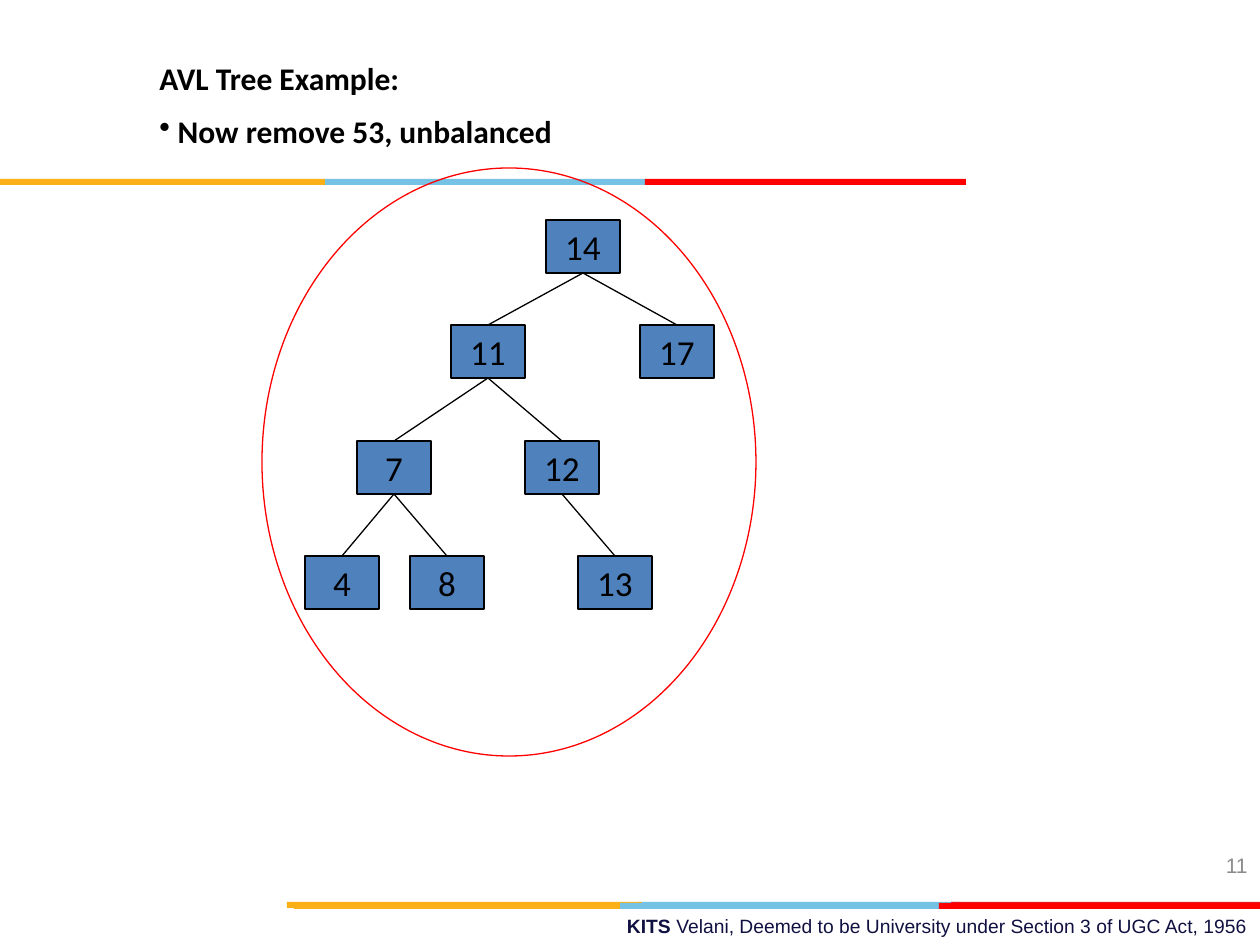
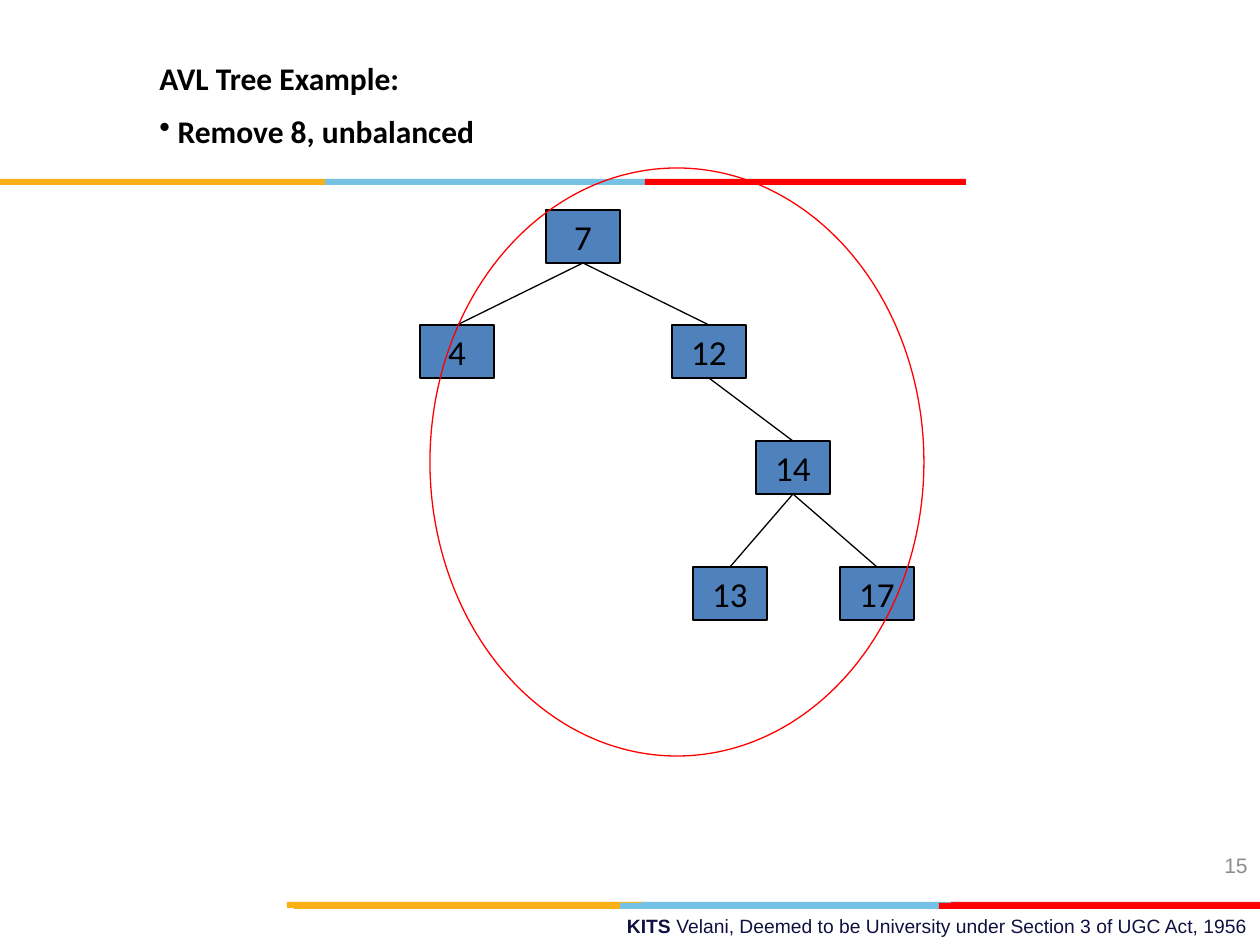
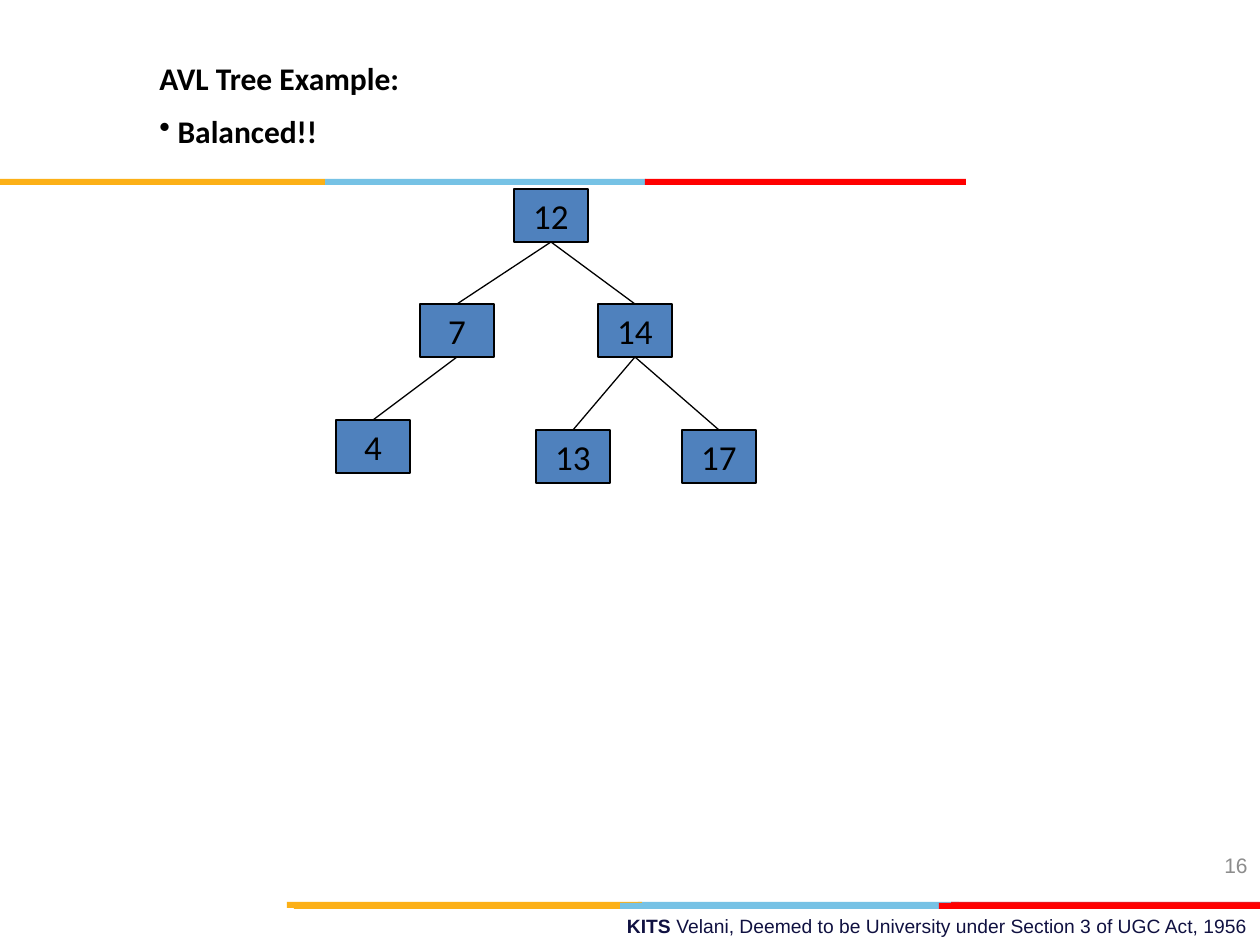
from lxml import etree
from pptx import Presentation
from pptx.dml.color import RGBColor
from pptx.enum.shapes import MSO_CONNECTOR as CONN, MSO_SHAPE as SHAPE
from pptx.enum.text import MSO_ANCHOR as ANCHOR, PP_ALIGN as ALIGN
from pptx.oxml.ns import qn
from pptx.util import Pt

PX = 914400 / 126
COLORS = {
    "gold": "FCB017", "sky": "76C2E5", "red": "FF0000", "crimson": "E31C24",
    "navy": "101141", "gray": "8C8C8C", "black": "000000", "node": "4F81BD",
}
BAND_H = 6
BANDS = [  # left, top, width, colour
    (638, 902, 321, "sky"), (951, 902, 309, "crimson"), (287, 902, 355, "gold"),
    (620, 903, 321, "sky"), (294, 903, 326, "gold"), (939, 903, 321, "red"),
    (325, 179, 321, "sky"), (0, 179, 325, "gold"), (645, 179, 321, "red"),
]
NODE_W, NODE_H = 74, 53
RING_TOP, RING_W, RING_H = 168, 494, 588
BOTTOM_SITE, TOP_SITE = 2, 0

SLIDES = [
    {"number": 11, "step": "Now remove 53, unbalanced", "title_w": 987, "ring": 262,
     "nodes": {14: (546, 220), 11: (451, 325), 17: (640, 325), 7: (357, 441),
               12: (525, 441), 4: (305, 556), 8: (410, 556), 13: (578, 556)},
     "edges": [(14, 11), (14, 17), (11, 7), (11, 12), (7, 4), (7, 8), (12, 13)]},
    {"number": 15, "step": "Remove 8, unbalanced", "title_w": 1061, "ring": 430,
     "nodes": {7: (546, 210), 4: (420, 325), 12: (672, 325), 14: (756, 441),
               13: (693, 567), 17: (840, 567)},
     "edges": [(7, 4), (7, 12), (12, 14), (14, 13), (14, 17)]},
    {"number": 16, "step": "Balanced!!", "title_w": 1061, "ring": None,
     "nodes": {12: (514, 189), 7: (420, 304), 14: (598, 304), 4: (336, 420),
               13: (536, 430), 17: (682, 430)},
     "edges": [(12, 7), (12, 14), (7, 4), (14, 13), (14, 17)]},
]


def add_box(shapes, kind, box, fill=None, line=None):
    """Add a preset shape, or a wrapping text box when kind is None."""
    box = [round(v * PX) for v in box]
    if kind is None:
        sp = shapes.add_textbox(*box)
        sp.text_frame.word_wrap = True
        return sp
    sp = shapes.add_shape(kind, *box)
    sp.shadow.inherit = False
    if fill:
        sp.fill.solid()
        sp.fill.fore_color.rgb = RGBColor.from_string(COLORS[fill])
    else:
        sp.fill.background()
    if line:
        sp.line.color.rgb = RGBColor.from_string(COLORS[line])
        sp.line.width = Pt(0.75)
    else:
        sp.line.fill.background()
    return sp


def style(p, font, size, color, align=ALIGN.LEFT, bold=False):
    p.alignment = align
    for r in p.runs:
        r.font.name, r.font.size, r.font.bold = font, Pt(size), bold
        r.font.color.rgb = RGBColor.from_string(COLORS[color])


prs = Presentation()
prs.slide_width, prs.slide_height = round(1260 * PX), round(945 * PX)

for data in SLIDES:
    shapes = prs.slides.add_slide(prs.slide_layouts[6]).shapes

    p = add_box(shapes, None, (451, 908, 809, 37)).text_frame.paragraphs[0]
    for text in ("KITS ", "Velani, Deemed to be University under Section 3 of UGC Act, 1956"):
        p.add_run().text = text
    style(p, "Arial", 11, "navy", ALIGN.RIGHT)
    p.runs[0].font.bold = True

    for left, top, width, color in BANDS:
        add_box(shapes, SHAPE.RECTANGLE, (left, top, width, BAND_H), color)

    tf = add_box(shapes, None, (966, 840, 294, 50)).text_frame
    tf.vertical_anchor = ANCHOR.MIDDLE
    tf.text = str(data["number"])
    style(tf.paragraphs[0], "Arial", 12, "gray", ALIGN.RIGHT)

    tf = add_box(shapes, None, (147, 53, data["title_w"], 107)).text_frame
    tf.text = f"AVL Tree Example:\n {data['step']}"
    for p in tf.paragraphs:
        style(p, "Calibri", 18, "black", bold=True)
        p.space_before = Pt(8.5)
    etree.SubElement(p._p.get_or_add_pPr(), qn("a:buChar")).set("char", "•")

    nodes = {}
    for key, (left, top) in data["nodes"].items():
        sp = add_box(shapes, SHAPE.RECTANGLE, (left, top, NODE_W, NODE_H), "node", "black")
        tf = sp.text_frame
        tf.word_wrap = False
        tf.vertical_anchor = ANCHOR.MIDDLE
        tf.text = str(key)
        style(tf.paragraphs[0], "Calibri", 20, "black", ALIGN.CENTER)
        nodes[key] = sp

    for parent, child in data["edges"]:
        edge = shapes.add_connector(CONN.STRAIGHT, 0, 0, 0, 0)
        edge.begin_connect(nodes[parent], BOTTOM_SITE)
        edge.end_connect(nodes[child], TOP_SITE)
        edge.line.color.rgb = RGBColor.from_string(COLORS["black"])
        edge.line.width = Pt(0.75)
        etree.SubElement(edge._element.spPr, qn("a:effectLst"))

    if data["ring"] is not None:
        add_box(shapes, SHAPE.OVAL, (data["ring"], RING_TOP, RING_W, RING_H), line="red")

prs.save("out.pptx")
